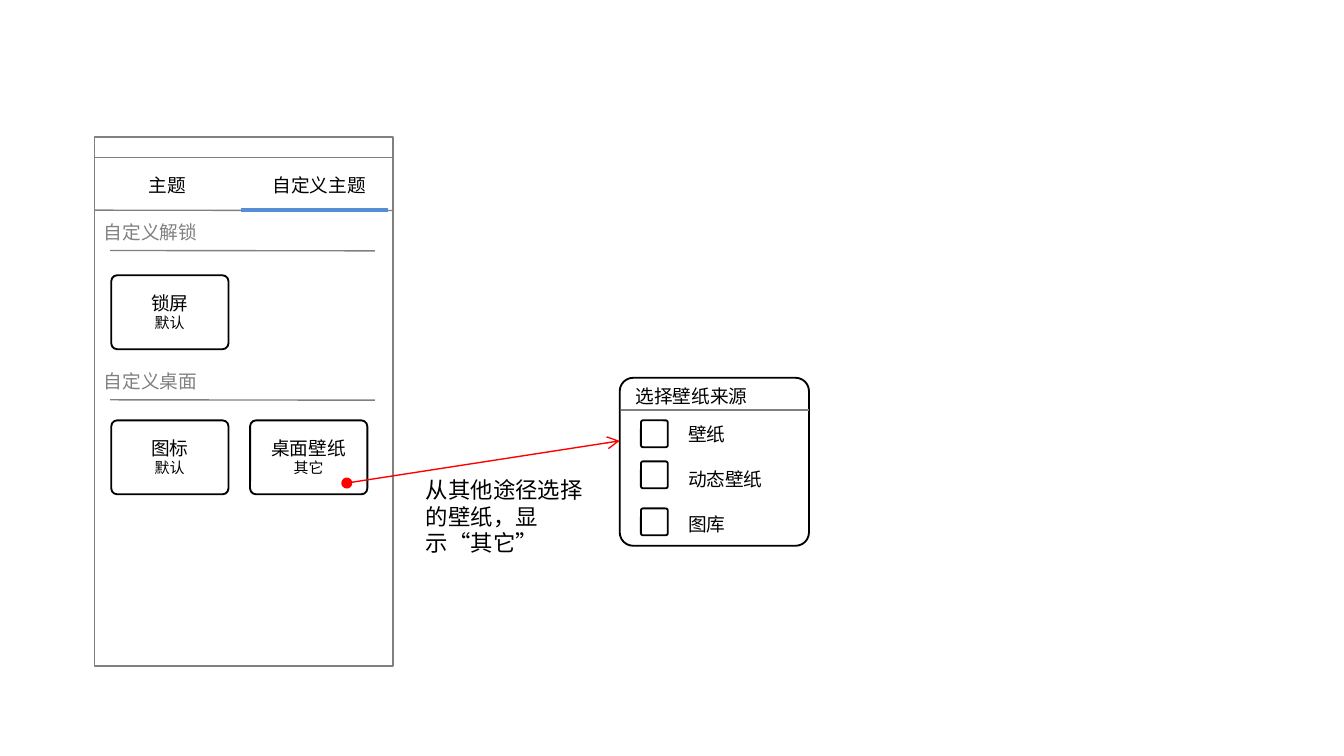
import pptx
import pptx.dml.color
import pptx.enum.shapes
import pptx.enum.text
import pptx.oxml.ns
import pptx.util
from dataclasses import dataclass
from lxml import etree

Pt = pptx.util.Pt
RGB = pptx.dml.color.RGBColor
SHAPE = pptx.enum.shapes.MSO_SHAPE
ALIGN = pptx.enum.text.PP_ALIGN
qn = pptx.oxml.ns.qn


@dataclass(frozen=True)
class Theme:
    font: str = "Noto Sans CJK SC"
    black: RGB = RGB(0x00, 0x00, 0x00)
    gray: RGB = RGB(0x80, 0x80, 0x80)
    blue: RGB = RGB(0x55, 0x8E, 0xD5)
    red: RGB = RGB(0xFF, 0x00, 0x00)
    small: int = 8
    body: int = 10
    note: int = 12


theme = Theme()
presentation = pptx.Presentation()
presentation.slide_width = Pt(720)
presentation.slide_height = Pt(405)
slide = presentation.slides.add_slide(presentation.slide_layouts[6])


def add_label(left, top, width, height, lines, color=theme.black, align=ALIGN.LEFT, gap=0):
    box = slide.shapes.add_textbox(Pt(left), Pt(top), Pt(width), Pt(height))
    frame = box.text_frame
    frame.word_wrap = True
    frame.auto_size = pptx.enum.text.MSO_AUTO_SIZE.SHAPE_TO_FIT_TEXT
    frame.margin_left = frame.margin_right = Pt(14.4)
    frame.margin_top = frame.margin_bottom = Pt(7.2)
    for index, (text, size) in enumerate(lines):
        paragraph = frame.add_paragraph() if index else frame.paragraphs[0]
        paragraph.alignment = align
        paragraph.space_before = Pt(gap if index else 0)
        run = paragraph.add_run()
        run.text = text
        run.font.size = Pt(size)
        run.font.name = theme.font
        run.font.color.rgb = color
        east_asian = etree.Element(qn("a:ea"), typeface=theme.font)
        run.font._element.find(qn("a:latin")).addnext(east_asian)


def add_outline(kind, left, top, width, height, color=theme.black):
    shape = slide.shapes.add_shape(kind, Pt(left), Pt(top), Pt(width), Pt(height))
    shape.shadow.inherit = False
    shape.fill.background()
    shape.line.color.rgb = color
    shape.line.width = Pt(1)
    if kind == SHAPE.ROUNDED_RECTANGLE:
        shape.adjustments[0] = 0.08


add_outline(SHAPE.RECTANGLE, 50.6, 73.4, 159.8, 283.4, theme.gray)

for left, tab in [(47.5, "主题"), (128.9, "自定义主题")]:
    add_label(left, 87.1, 84.2, 26.6, [(tab, theme.body)], align=ALIGN.CENTER)

for top, heading in [(112.3, "自定义解锁"), (192.2, "自定义桌面")]:
    add_label(41, top, 79.2, 26.6, [(heading, theme.body)], theme.gray, ALIGN.CENTER)

cards = [
    (59.6, 147.5, "锁屏", "默认"),
    (59.6, 225.2, "图标", "默认"),
    (134, 225.2, "桌面壁纸", "其它"),
]
for left, top, title, value in cards:
    add_outline(SHAPE.ROUNDED_RECTANGLE, left, top, 62.8, 39.6)
    add_label(left - 13, top + 1.5, 88.6, 36,
              [(title, theme.body), (value, theme.small)], align=ALIGN.CENTER)

add_outline(SHAPE.ROUNDED_RECTANGLE, 332, 202.4, 101.4, 90)
add_label(326.2, 200.2, 118, 26.6, [("选择壁纸来源", theme.body)])
sources = ["壁纸", "动态壁纸", "图库"]
add_label(354.2, 219.6, 78.5, 74.9, [(source, theme.body) for source in sources], gap=12)
for top in (225.2, 247.2, 272.4):
    add_outline(SHAPE.ROUNDED_RECTANGLE, 343.4, top, 14.4, 14.4)

add_label(213.8, 247.7, 116.6, 58.3, [("从其他途径选择的壁纸，显示“其它”", theme.note)])

lines = [
    (50.6, 84.4, 210.2, 84.4, theme.gray, 0.75, {}),
    (50.6, 112.6, 210.2, 112.8, theme.gray, 0.75, {}),
    (128.9, 112.6, 208.1, 112.6, theme.blue, 2.25, {}),
    (59, 134.2, 200.9, 134.4, theme.gray, 0.75, {}),
    (59, 214.2, 200.9, 214.4, theme.gray, 0.75, {}),
    (332.6, 219.6, 433.4, 219.6, theme.gray, 0.75, {}),
    (185.8, 258.8, 332, 236.2, theme.red, 0.75, {"headEnd": "oval", "tailEnd": "arrow"}),
]
for start_x, start_y, end_x, end_y, color, weight, ends in lines:
    connector = slide.shapes.add_connector(
        pptx.enum.shapes.MSO_CONNECTOR.STRAIGHT,
        Pt(start_x), Pt(start_y), Pt(end_x), Pt(end_y))
    connector.line.color.rgb = color
    connector.line.width = Pt(weight)
    for end, style in ends.items():
        etree.SubElement(connector.line._get_or_add_ln(), qn("a:" + end), type=style)
    etree.SubElement(connector._element.spPr, qn("a:effectLst"))

presentation.save("out.pptx")
